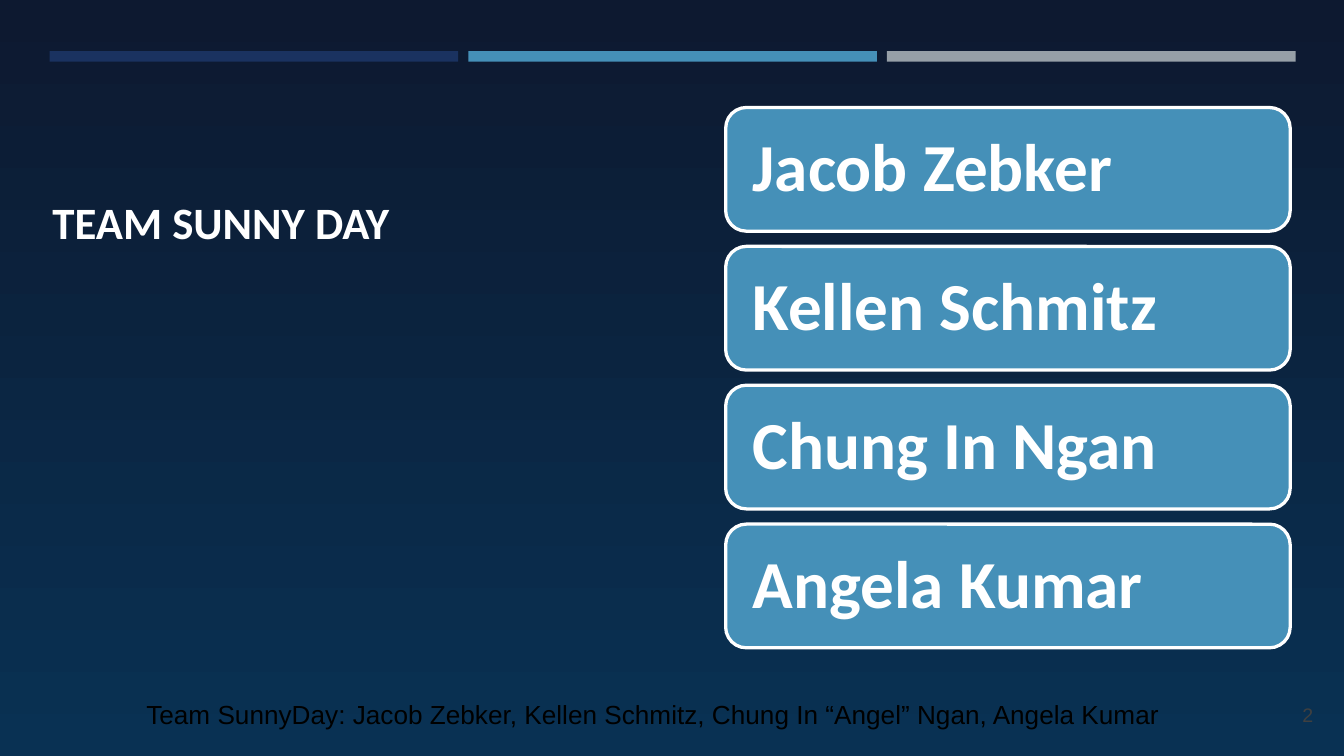
from pptx import Presentation
from pptx.dml.color import RGBColor
from pptx.enum.shapes import MSO_SHAPE
from pptx.enum.text import MSO_ANCHOR, MSO_AUTO_SIZE, PP_ALIGN
from pptx.util import Inches, Pt

WIDTH = 10
HEIGHT = WIDTH * 9 / 16
WHITE, BLUE = "FFFFFF", "4590B8"
BAR_COLORS = ["1A3260", BLUE, "969FA7"]
BAR_STEP = (6.6 - 0.37) / 2
MEMBERS = ["Jacob Zebker", "Kellen Schmitz", "Chung In Ngan", "Angela Kumar"]
MEMBER_STEP = (3.9 - 0.8) / 3


def color(value):
    return RGBColor.from_string(value)


def set_text(shape, text, size, font, shade, bold=False, inset=0.1,
             anchor=MSO_ANCHOR.TOP, align=PP_ALIGN.LEFT):
    frame = shape.text_frame
    frame.word_wrap = True
    frame.auto_size = MSO_AUTO_SIZE.NONE
    frame.vertical_anchor = anchor
    frame.margin_left = frame.margin_right = Inches(inset)
    frame.margin_top = frame.margin_bottom = Inches(inset)
    para = frame.paragraphs[0]
    para.text = text
    para.alignment = align
    para.font.name = font
    para.font.size = Pt(size)
    para.font.bold = bold
    para.font.color.rgb = color(shade)
    return para


def add_block(page, kind, left, top, width, height, fill):
    block = page.shapes.add_shape(
        kind, Inches(left), Inches(top), Inches(width), Inches(height))
    block.shadow.inherit = False
    block.fill.solid()
    block.fill.fore_color.rgb = color(fill)
    block.line.fill.background()
    return block


def add_label(page, left, top, width, height, text, **style):
    box = page.shapes.add_textbox(
        Inches(left), Inches(top), Inches(width), Inches(height))
    return set_text(box, text, **style)


def add_background(page):
    fill = page.background.fill
    fill.gradient()
    fill.gradient_angle = 270
    for stop, shade in zip(fill.gradient_stops, ["0D1930", "093153"]):
        stop.color.rgb = color(shade)


def add_title(page, text):
    title = page.shapes.title
    title.left, title.top = Inches(0.29), Inches(1.35)
    title.width, title.height = Inches(4.42), Inches(1.62)
    set_text(title, text, 24, "Calibri", WHITE, bold=True)


def add_member(page, row, name):
    top = 0.8 + row * MEMBER_STEP
    card = add_block(page, MSO_SHAPE.ROUNDED_RECTANGLE,
                     5.4, top, 4.2, 0.92, BLUE)
    card.line.color.rgb = color(WHITE)
    card.line.width = Pt(1.75)
    para = add_label(page, 5.45, top + 0.05, 4.11, 0.83, name, size=36,
                     font="Calibri", shade=WHITE, bold=True, inset=0.15,
                     anchor=MSO_ANCHOR.MIDDLE)
    para.line_spacing = 0.9


def main():
    deck = Presentation()
    deck.slide_width, deck.slide_height = Inches(WIDTH), Inches(HEIGHT)
    page = deck.slides.add_slide(deck.slide_layouts[5])
    add_background(page)

    # Three bars across the top
    for column, shade in enumerate(BAR_COLORS):
        add_block(page, MSO_SHAPE.RECTANGLE,
                  0.37 + column * BAR_STEP, 0.38, 3.04, 0.08, shade)

    # Team name and members
    add_title(page, "TEAM SUNNY DAY")
    for row, name in enumerate(MEMBERS):
        add_member(page, row, name)

    # Footer and page number
    add_label(page, 0.99, 5.1, 8.03, 0.44,
              "Team SunnyDay: Jacob Zebker, Kellen Schmitz, "
              "Chung In “Angel” Ngan, Angela Kumar",
              size=14, font="Arial", shade="000000")
    add_label(page, 9.37, 5.1, 0.5, 0.44, "2",
              size=10.5, font="Arial", shade="404040",
              anchor=MSO_ANCHOR.MIDDLE, align=PP_ALIGN.RIGHT)

    deck.save("out.pptx")


if __name__ == "__main__":
    main()
